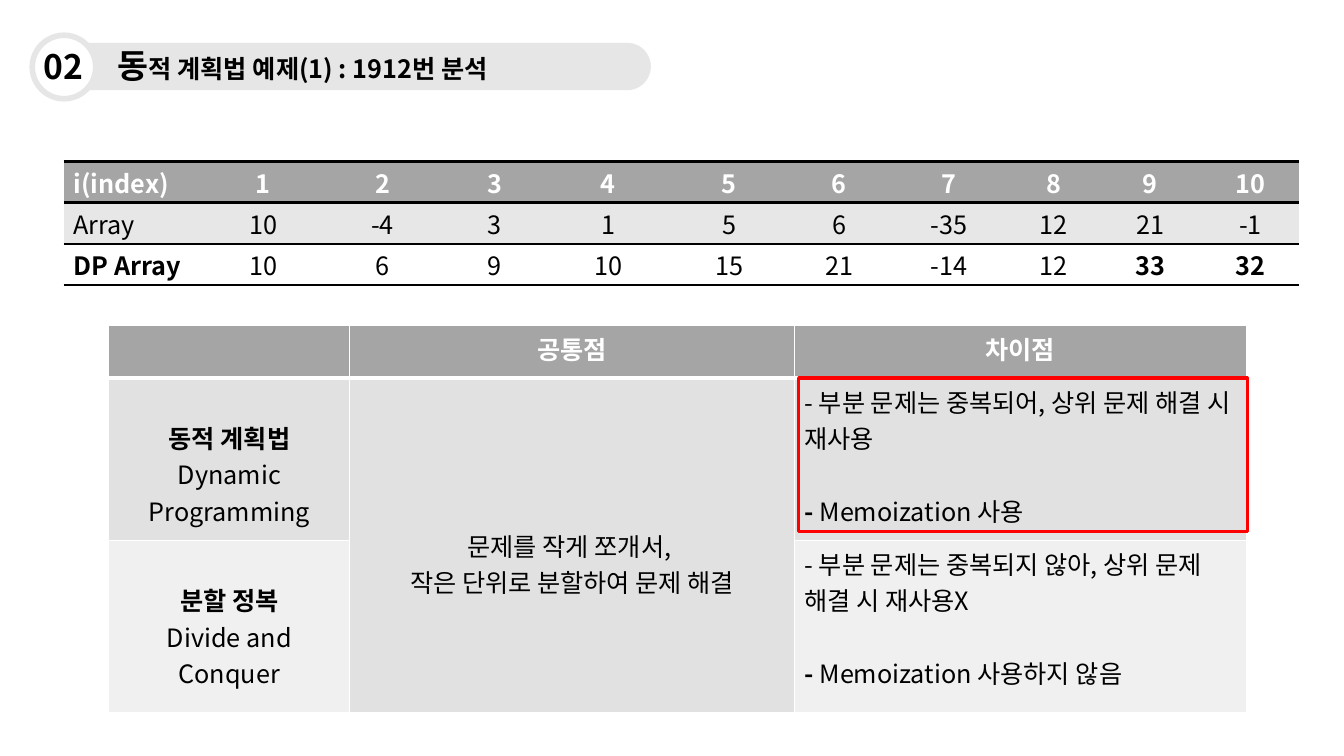
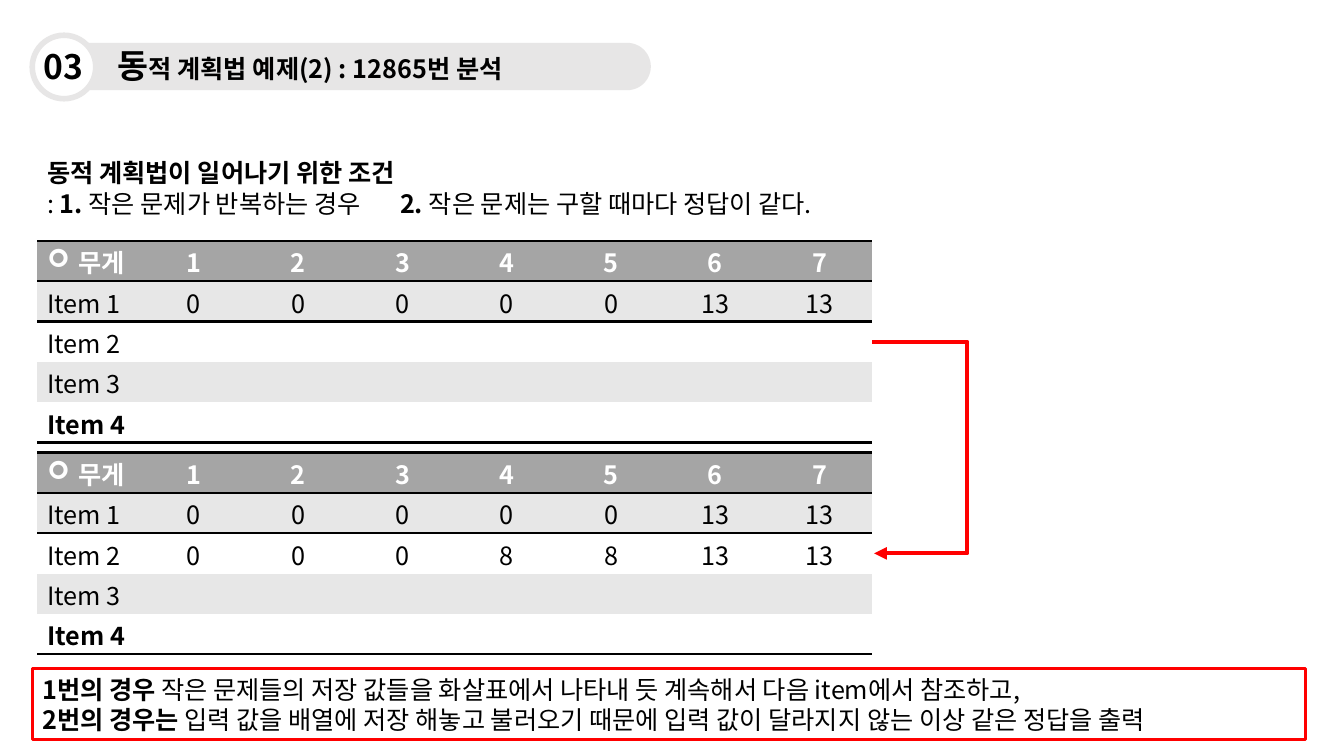
"""Two slides that analyse dynamic programming examples with tables."""
from lxml.etree import SubElement
from pptx import Presentation
from pptx.dml.color import RGBColor
from pptx.enum.shapes import MSO_CONNECTOR, MSO_SHAPE
from pptx.enum.text import MSO_ANCHOR as ANCHOR, PP_ALIGN as ALIGN
from pptx.oxml.ns import qn
from pptx.util import Inches, Pt

FONT = "Noto Sans CJK KR"
NO_STYLE = "{2D5ABB26-0587-4C30-8999-92F81FD0307C}"
COLORS = {
    "black": "000000", "white": "FFFFFF", "band": "E7E6E6", "header": "A5A5A5",
    "stripe": "E7E7E7", "dark_cell": "E1E1E1", "light_cell": "F0F0F0", "red": "FF0000",
}
RGB = {name: RGBColor.from_string(value) for name, value in COLORS.items()}


def write(tf, paras, size=18, color="black", align=ALIGN.LEFT, spacing=None):
    """Fill a text frame with paragraphs given as lists of (text, bold)."""
    tf.word_wrap = True
    for i, runs in enumerate(paras):
        p = tf.paragraphs[0] if i == 0 else tf.add_paragraph()
        p.alignment = align
        if spacing:
            p.line_spacing = Pt(spacing)
        for text, bold in runs:
            r = p.add_run()
            r.text = text
            r.font.size, r.font.bold, r.font.name = Pt(size), bold, FONT
            r.font.color.rgb = RGB[color]
            SubElement(r.font._element, qn("a:ea")).set("typeface", FONT)


def style_cell(cell, fill, color, borders):
    """Give a cell its fill and borders, with widths in points by side."""
    tcPr = cell._tc.get_or_add_tcPr()
    for side in "LRTB":
        if side in borders:
            ln = SubElement(tcPr, qn(f"a:ln{side}"), w=str(Pt(borders[side])))
            SubElement(SubElement(ln, qn("a:solidFill")), qn("a:srgbClr"), val=COLORS[color])
    cell.fill.solid()
    cell.fill.fore_color.rgb = RGB[fill]


prs = Presentation()
prs.slide_width, prs.slide_height = Inches(13.33), Inches(7.5)

titles = [("02", "적 계획법 예제(1) : 1912번 분석"), ("03", "적 계획법 예제(2) : 12865번 분석")]
slides = []
for number, title in titles:
    s = prs.slides.add_slide(prs.slide_layouts[6])
    slides.append(s)
    band = s.shapes.add_shape(MSO_SHAPE.ROUND_2_SAME_RECTANGLE,
                              Inches(3.31), Inches(-2.25), Inches(0.47), Inches(5.82))
    band.rotation = 90
    band.adjustments[0] = 0.5
    badge = s.shapes.add_shape(MSO_SHAPE.OVAL, Inches(0.32), Inches(0.35), Inches(0.63), Inches(0.63))
    for sp, fill in ((band, "band"), (badge, "white")):
        sp.shadow.inherit = False
        sp.fill.solid()
        sp.fill.fore_color.rgb = RGB[fill]
    band.line.fill.background()
    badge.line.color.rgb = RGB["band"]
    badge.line.width = Pt(4)

    tf = s.shapes.add_textbox(Inches(0.32), Inches(0.46), Inches(0.62), Inches(0.4)).text_frame
    tf.vertical_anchor = ANCHOR.MIDDLE
    tf.margin_left = tf.margin_right = tf.margin_top = tf.margin_bottom = 0
    write(tf, [[(number, True)]], size=24, align=ALIGN.CENTER)

    tf = s.shapes.add_textbox(Inches(1.07), Inches(0.4), Inches(5.2), Inches(0.5)).text_frame
    tf.vertical_anchor = ANCHOR.MIDDLE
    write(tf, [[("동", True), (title, True)]])
    tf.paragraphs[0].runs[0].font.size = Pt(24)

index_slide, item_slide = slides

index_rows = [
    ["i(index)", *range(1, 11)],
    ["Array", 10, -4, 3, 1, 5, 6, -35, 12, 21, -1],
    ["DP Array", 10, 6, 9, 10, 15, 21, -14, 12, 33, 32],
]
index_widths = [1.39, 1.18, 1.19, 1.03, 1.23, 1.17, 1.01, 1.17, 0.9, 1.02, 0.97]
weights = ["무게", *range(1, 8)]
item_1 = ["Item 1", 0, 0, 0, 0, 0, 13, 13]
item_2 = ["Item 2", 0, 0, 0, 8, 8, 13, 13]
before_rows = [weights, item_1, ["Item 2"], ["Item 3"], ["Item 4"]]
after_rows = [weights, item_1, item_2, ["Item 3"], ["Item 4"]]
item_widths = [1.035] * 8

data_tables = [
    (index_slide, 0.63, 1.6, index_widths, 0.41, index_rows),
    (item_slide, 0.37, 2.39, item_widths, 0.4, before_rows),
    (item_slide, 0.37, 4.49, item_widths, 0.4, after_rows),
]
for s, left, top, widths, height, rows in data_tables:
    frame = s.shapes.add_table(len(rows), len(widths), Inches(left), Inches(top),
                               Inches(sum(widths)), Inches(height * len(rows)))
    table = frame.table
    table._tbl.tblPr.find(qn("a:tableStyleId")).text = NO_STYLE
    for column, width in zip(table.columns, widths):
        column.width = Inches(width)
    last = len(rows) - 1
    for i, values in enumerate(rows):
        table.rows[i].height = Inches(height)
        borders = {0: {"T": 2, "B": 2}, 1: {"T": 2}, last: {"B": 2}}.get(i, {})
        fill = "header" if i == 0 else "stripe" if i % 2 else "white"
        for j in range(len(widths)):
            cell = table.cell(i, j)
            style_cell(cell, fill, "black", borders)
            cell.margin_top, cell.margin_bottom = Inches(0.09), Inches(0.01)
            bold = i == 0 or i == last and (j == 0 or j > 8)
            runs = [(str(values[j]), bold)] if j < len(values) else []
            write(cell.text_frame, [runs], color="black" if i else "white",
                  align=ALIGN.CENTER if j else ALIGN.LEFT, spacing=21.5)
    if rows[0] is weights:
        pPr = table.cell(0, 0).text_frame.paragraphs[0]._p.get_or_add_pPr()
        pPr.set("marL", str(Inches(0.31)))
        pPr.set("indent", str(Inches(-0.31)))
        SubElement(pPr, qn("a:buFont"), typeface="Wingdings")
        SubElement(pPr, qn("a:buChar"), char="➢")

comparison = [
    [[], [[("공통점", True)]], [[("차이점", True)]]],
    [
        [[("동적 계획법", True)], [("Dynamic Programming", False)]],
        [[("문제를 작게 쪼개서, ", False)], [("작은 단위로 분할하여 문제 해결", False)]],
        [[("- 부분 문제는 중복되어, 상위 문제 해결 시 재사용", False)],
         [("- ", True), ("Memoization 사용", False)]],
    ],
    [
        [[("분할 정복", True)], [("Divide and", False)], [("Conquer", False)]],
        [],
        [[("- 부분 문제는 중복되지 않아, 상위 문제 해결 시 재사용X", False)],
         [("- ", True), ("Memoization 사용하지 않음", False)]],
    ],
]
widths, heights = [2.39, 4.41, 4.48], [0.52, 1.61, 1.71]
frame = index_slide.shapes.add_table(3, 3, Inches(1.08), Inches(3.23),
                                     Inches(sum(widths)), Inches(sum(heights)))
table = frame.table
table._tbl.tblPr.find(qn("a:tableStyleId")).text = NO_STYLE
for column, width in zip(table.columns, widths):
    column.width = Inches(width)
table.cell(1, 1).merge(table.cell(2, 1))
for i, values in enumerate(comparison):
    table.rows[i].height = Inches(heights[i])
    for j, paras in enumerate(values):
        cell = table.cell(i, j)
        borders = {"L": 1, "R": 1, "T": 3 if i == 1 else 1, "B": 1 if i else 3}
        style_cell(cell, ("header", "dark_cell", "light_cell")[i], "white", borders)
        write(cell.text_frame, paras, color="black" if i else "white",
              align=ALIGN.LEFT if i and j == 2 else ALIGN.CENTER)
        if i and j == 0:
            cell.margin_top = Inches(0.41)
        if i and j == 2:
            cell.text_frame.paragraphs[1].space_before = Pt(26)
shared = table.cell(1, 1)
shared.vertical_anchor = ANCHOR.MIDDLE
shared.margin_top = Inches(0.41)

tf = item_slide.shapes.add_textbox(Inches(0.37), Inches(1.51), Inches(8.92), Inches(1.01)).text_frame
write(tf, [
    [("동적 계획법이 일어나기 위한 조건", True)],
    [(": ", False), ("1.", True), (" 작은 문제가 반복하는 경우 \t", False),
     ("2. ", True), ("작은 문제는 구할 때마다 정답이 같다.", False)],
], spacing=22)

notes = [
    [("1번의 경우 ", True),
     ("작은 문제들의 저장 값들을 화살표에서 나타내 듯 계속해서 다음 item에서 참조하고,", False)],
    [("2번의 경우는 ", True),
     ("입력 값을 배열에 저장 해놓고 불러오기 때문에 입력 값이 달라지지 않는 이상 같은 정답을 출력", False)],
]
red_boxes = [
    (index_slide, 7.92, 3.75, 4.45, 1.52, []),
    (item_slide, 0.32, 6.63, 12.63, 0.71, notes),
]
for s, left, top, width, height, paras in red_boxes:
    sp = s.shapes.add_shape(MSO_SHAPE.RECTANGLE, Inches(left), Inches(top), Inches(width), Inches(height))
    sp.shadow.inherit = False
    sp.fill.background()
    sp.line.color.rgb = RGB["red"]
    sp.line.width = Pt(2.25)
    sp.text_frame.vertical_anchor = ANCHOR.TOP
    write(sp.text_frame, paras, spacing=22)

arrow = item_slide.shapes.add_connector(MSO_CONNECTOR.ELBOW, Inches(8.65), Inches(3.39),
                                        Inches(8.67), Inches(5.49))
arrow.line.color.rgb = RGB["red"]
arrow.line.width = Pt(3)
SubElement(arrow.line._get_or_add_ln(), qn("a:tailEnd"), type="triangle")
spPr = arrow._element.spPr
SubElement(spPr, qn("a:effectLst"))
bend = round(0.94 / 0.02 * 100000)
guides = spPr.find(qn("a:prstGeom")).get_or_add_avLst()
SubElement(guides, qn("a:gd"), name="adj1", fmla=f"val {bend}")

prs.save("out.pptx")
